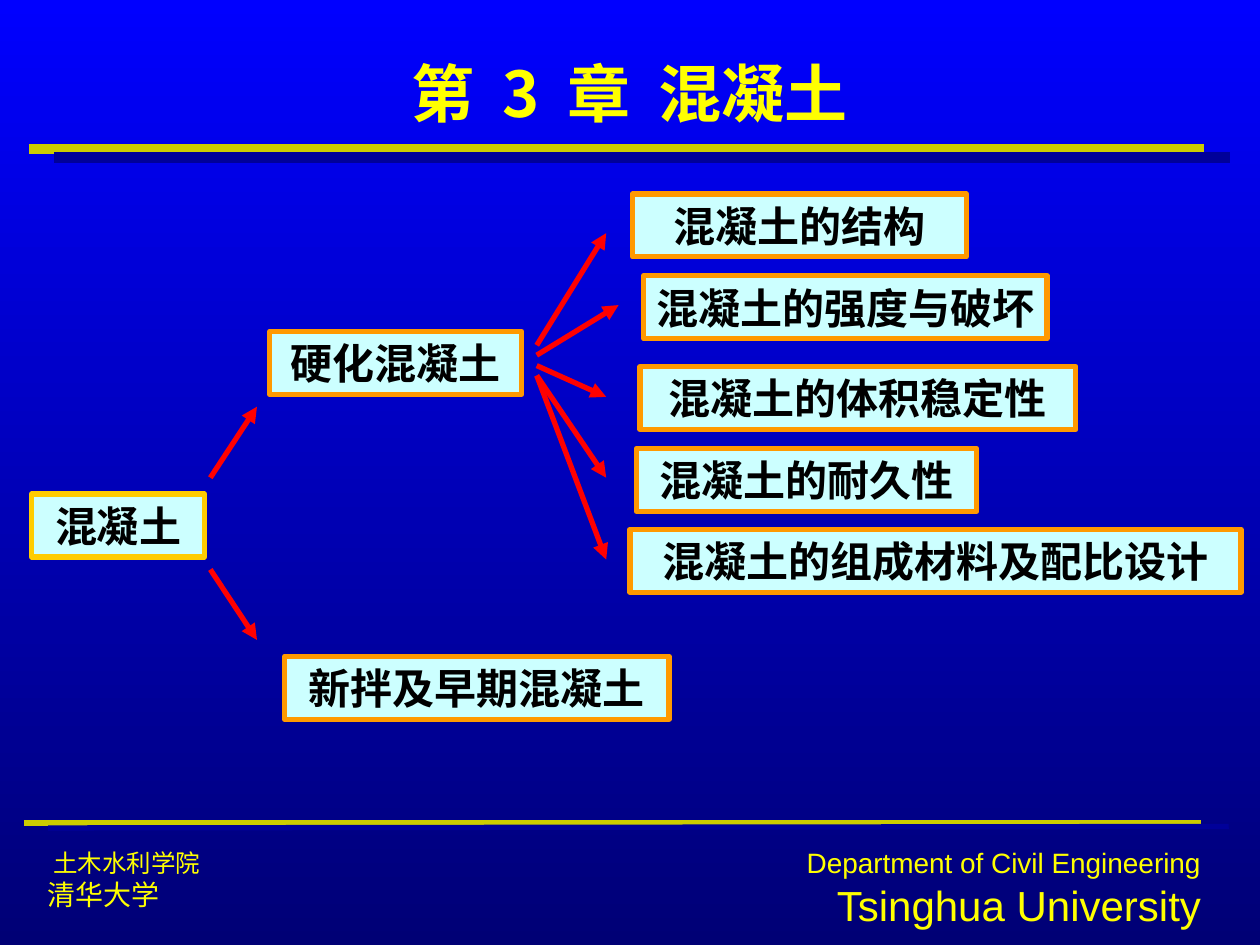
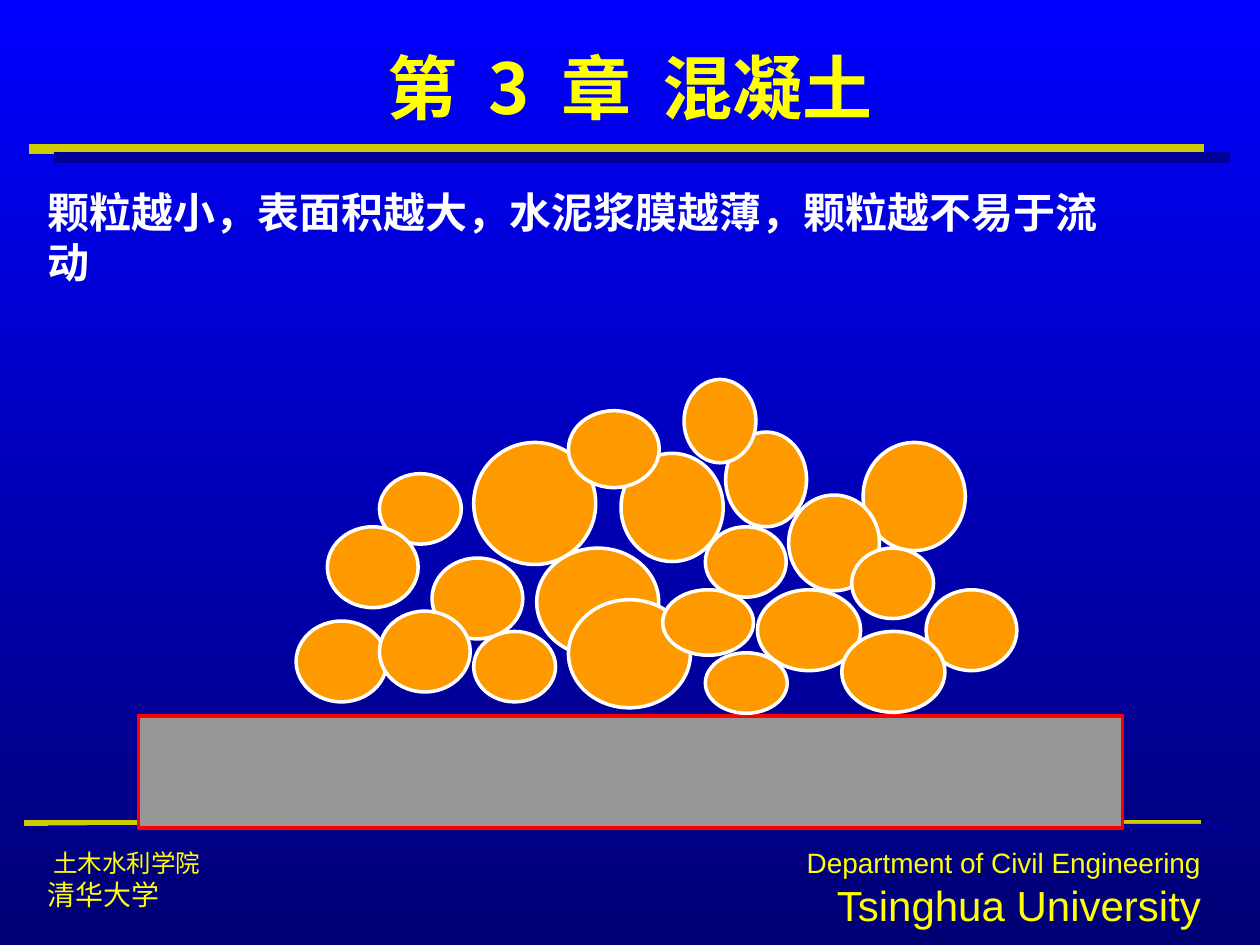
from dataclasses import dataclass
from itertools import groupby
from typing import NamedTuple

from lxml import etree
from pptx import Presentation
from pptx.dml.color import RGBColor
from pptx.enum.shapes import MSO_CONNECTOR, MSO_SHAPE
from pptx.enum.text import MSO_ANCHOR, PP_ALIGN
from pptx.oxml.ns import qn
from pptx.util import Cm, Pt

STRAIGHT = MSO_CONNECTOR.STRAIGHT
RECT, OVAL = MSO_SHAPE.RECTANGLE, MSO_SHAPE.OVAL
LEFT, CENTER, RIGHT = PP_ALIGN.LEFT, PP_ALIGN.CENTER, PP_ALIGN.RIGHT
MIDDLE, BOTTOM = MSO_ANCHOR.MIDDLE, MSO_ANCHOR.BOTTOM


@dataclass(frozen=True)
class Theme:
    latin: str = "Arial"
    cjk: str = "Noto Sans CJK SC"
    sky: str = "0000FF"
    deep: str = "000075"
    yellow: str = "FFFF00"
    rule: str = "CCCC00"
    rule_shadow: str = "000099"
    box: str = "CCFFFF"
    root_edge: str = "FFCC00"
    orange: str = "FF9900"
    red: str = "FF0000"
    gray: str = "969696"
    black: str = "000000"
    white: str = "FFFFFF"
    body: int = 24
    footer: int = 16
    footer_small: int = 14


T = Theme()


class Rect(NamedTuple):
    x: float
    y: float
    w: float
    h: float


class Line(NamedTuple):
    x1: float
    y1: float
    x2: float
    y2: float
    color: str = T.red
    width: float = 3


class Topic(NamedTuple):
    text: str
    x: float
    y: float
    w: float
    edge: str = T.orange


TITLE = "第 3 章 混凝土"
TITLE_AREA = Rect(1.9, 0.99, 21.59, 1.73)
BODY_AREA = Rect(0.71, 3.63, 22.23, 2.29)
SCHOOL_AREA = Rect(0.71, 16.97, 10.11, 1.52)
DEPARTMENT_AREA = Rect(14.35, 16.92, 10.11, 1.96)
SLAB = Rect(2.79, 14.43, 19.84, 2.26)
TOPIC_HEIGHT = 1.27

RULES = [
    Line(0.58, 3, 24.28, 3, T.rule, 6),
    Line(1.09, 3.18, 24.79, 3.18, T.rule_shadow, 6),
    Line(0.48, 16.59, 24.21, 16.59, T.rule),
    Line(0.97, 16.69, 24.77, 16.66, T.rule_shadow),
]

TOPICS = [
    Topic("混凝土", 0.64, 9.96, 3.48, T.root_edge),
    Topic("硬化混凝土", 5.44, 6.68, 5.08),
    Topic("新拌及早期混凝土", 5.74, 13.23, 7.75),
    Topic("混凝土的结构", 12.75, 3.91, 6.73),
    Topic("混凝土的强度与破坏", 12.98, 5.56, 8.13),
    Topic("混凝土的体积稳定性", 12.9, 7.39, 8.79),
    Topic("混凝土的耐久性", 12.83, 9.04, 6.86),
    Topic("混凝土的组成材料及配比设计", 12.7, 10.67, 12.32),
]

ARROWS = [
    Line(4.24, 9.63, 5.18, 8.2),
    Line(4.24, 11.48, 5.18, 12.9),
    Line(10.82, 6.96, 12.22, 4.7),
    Line(10.82, 7.16, 12.47, 6.15),
    Line(10.82, 7.37, 12.22, 8),
    Line(10.82, 7.57, 12.22, 9.63),
    Line(10.82, 7.57, 12.22, 11.28),
]

PARTICLES = [
    Rect(10.82, 11.05, 2.46, 2.18),
    Rect(8.71, 11.25, 1.83, 1.63),
    Rect(9.55, 8.92, 2.46, 2.46),
    Rect(12.52, 9.14, 2.06, 2.18),
    Rect(15.27, 11.89, 2.08, 1.63),
    Rect(18.67, 11.89, 1.83, 1.63),
    Rect(5.97, 12.52, 1.83, 1.63),
    Rect(7.65, 9.55, 1.65, 1.42),
    Rect(11.46, 12.09, 2.46, 2.18),
    Rect(7.65, 12.32, 1.83, 1.63),
    Rect(14.63, 8.71, 1.63, 1.91),
    Rect(17.4, 8.92, 2.06, 2.18),
    Rect(16.97, 12.73, 2.08, 1.63),
    Rect(13.36, 11.89, 1.83, 1.32),
    Rect(11.46, 8.28, 1.83, 1.55),
    Rect(9.55, 12.73, 1.65, 1.42),
    Rect(13.79, 7.65, 1.45, 1.68),
    Rect(15.9, 9.98, 1.83, 1.93),
    Rect(14.22, 10.62, 1.63, 1.42),
    Rect(17.17, 11.05, 1.65, 1.42),
    Rect(6.6, 10.62, 1.83, 1.63),
    Rect(14.22, 13.16, 1.65, 1.22),
]


def rgb(color: str) -> RGBColor:
    return RGBColor.from_string(color)


def place(area: Rect) -> list[Cm]:
    return [Cm(v) for v in area]


def add_text(tf, text: str, *, size: float, color: str, bold: bool = False,
             font: str = T.latin, align=LEFT, indent: float = 0,
             word_gap: float = 0) -> None:
    p = tf.paragraphs[0]
    if p.runs:
        p = tf.add_paragraph()
    p.alignment = align
    if indent:
        p._p.get_or_add_pPr().set("marL", str(Cm(indent)))
    pieces = groupby(text, str.isspace) if word_gap else [(False, text)]
    for is_space, chars in pieces:
        r = p.add_run()
        r.text = "".join(chars)
        r.font.size, r.font.bold, r.font.name = Pt(size), bold, font
        r.font.color.rgb = rgb(color)
        rPr = r._r.get_or_add_rPr()
        etree.SubElement(rPr, qn("a:ea"), typeface=T.cjk)
        if is_space:
            rPr.set("spc", str(round(word_gap * size * 100)))


def add_box(s, area: Rect, anchor=MIDDLE):
    tf = s.shapes.add_textbox(*place(area)).text_frame
    tf.word_wrap = True
    tf.vertical_anchor = anchor
    return tf


def add_filled(s, kind, area: Rect, fill: str, edge: str, width: float):
    sp = s.shapes.add_shape(kind, *place(area))
    sp.shadow.inherit = False
    sp.fill.solid()
    sp.fill.fore_color.rgb = rgb(fill)
    sp.line.color.rgb = rgb(edge)
    sp.line.width = Pt(width)
    return sp


def add_line(s, line: Line, arrow: bool = False) -> None:
    ends = [Cm(v) for v in line[:4]]
    cxn = s.shapes.add_connector(STRAIGHT, *ends)
    cxn.line.color.rgb = rgb(line.color)
    cxn.line.width = Pt(line.width)
    if arrow:
        etree.SubElement(cxn.line._get_or_add_ln(), qn("a:tailEnd"), type="triangle")
    etree.SubElement(cxn._element.spPr, qn("a:effectLst"))


def add_topic(s, topic: Topic) -> None:
    area = Rect(topic.x, topic.y, topic.w, TOPIC_HEIGHT)
    tf = add_filled(s, RECT, area, T.box, topic.edge, 3).text_frame
    tf.word_wrap = False
    tf.vertical_anchor = MIDDLE
    add_text(tf, topic.text, size=T.body, color=T.black, bold=True, align=CENTER)


def add_title(s, size: float, anchor=MIDDLE) -> None:
    add_text(add_box(s, TITLE_AREA, anchor), TITLE, size=size, color=T.yellow,
             bold=True, font=T.cjk, align=CENTER, word_gap=0.22)


def add_frame(prs):
    s = prs.slides.add_slide(prs.slide_layouts[6])
    for rule in RULES:
        add_line(s, rule)
    tf = add_box(s, SCHOOL_AREA)
    add_text(tf, "土木水利学院", size=T.footer_small, color=T.yellow, indent=0.11)
    add_text(tf, "清华大学", size=T.footer, color=T.yellow)
    tf = add_box(s, DEPARTMENT_AREA)
    add_text(tf, "Department of Civil Engineering", size=T.footer,
             color=T.yellow, align=RIGHT)
    add_text(tf, "Tsinghua University", size=T.body, color=T.yellow, align=RIGHT)
    return s


def set_background(prs) -> None:
    fill = prs.slide_master.background.fill
    fill.gradient()
    fill.gradient_angle = 270
    for stop, color in zip(fill.gradient_stops, (T.sky, T.deep)):
        stop.color.rgb = rgb(color)


def build_outline(prs) -> None:
    s = add_frame(prs)
    add_title(s, 36)
    for topic in TOPICS:
        add_topic(s, topic)
    for arrow in ARROWS:
        add_line(s, arrow, arrow=True)


def build_particles(prs) -> None:
    s = add_frame(prs)
    add_filled(s, RECT, SLAB, T.gray, T.red, 2)
    for particle in PARTICLES:
        add_filled(s, OVAL, particle, T.orange, T.white, 2)
    add_title(s, 40, BOTTOM)
    add_text(add_box(s, BODY_AREA),
             "颗粒越小，表面积越大，水泥浆膜越薄，颗粒越不易于流动",
             size=T.body, color=T.white, bold=True)


def main() -> None:
    prs = Presentation()
    prs.slide_width, prs.slide_height = Cm(25.4), Cm(19.05)
    set_background(prs)
    build_outline(prs)
    build_particles(prs)
    prs.save("out.pptx")


if __name__ == "__main__":
    main()
